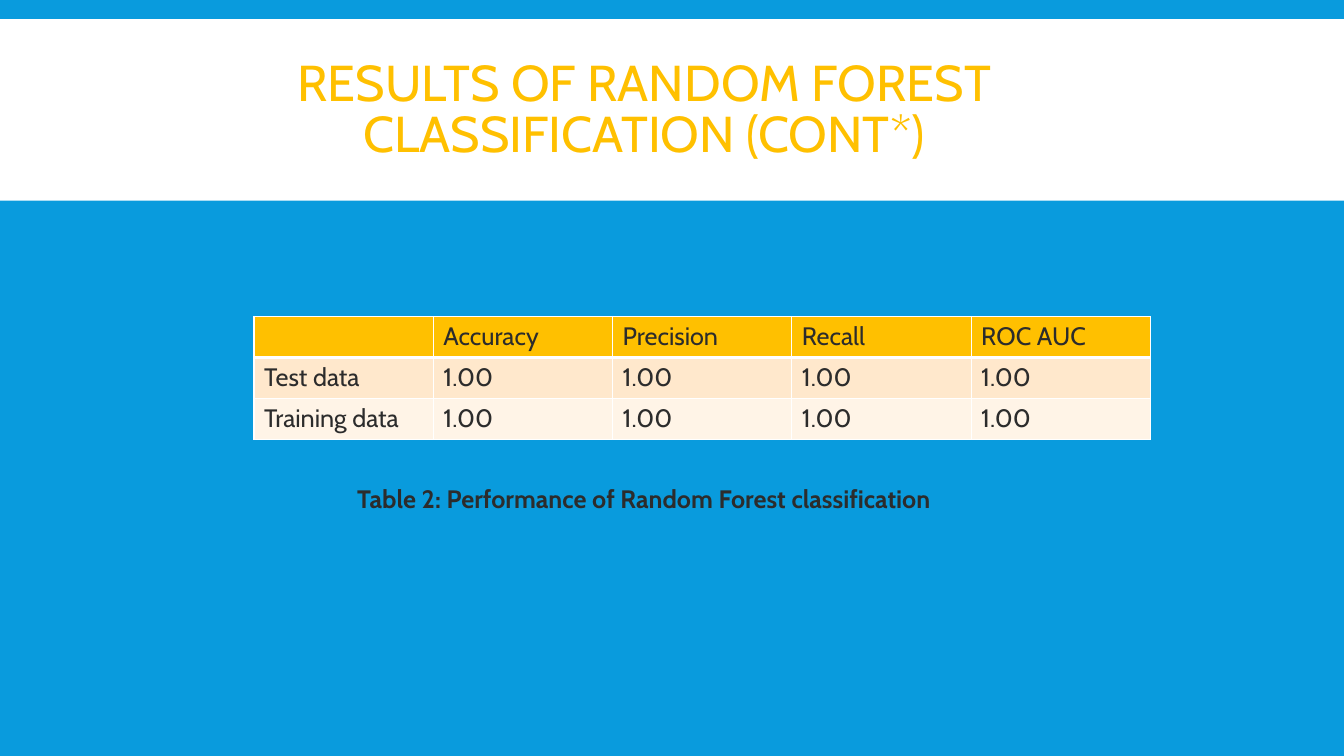
from dataclasses import dataclass

from lxml import etree
from pptx import Presentation
from pptx.dml.color import RGBColor
from pptx.enum.shapes import MSO_SHAPE
from pptx.enum.text import MSO_ANCHOR, MSO_AUTO_SIZE, PP_ALIGN
from pptx.oxml.ns import qn
from pptx.util import Inches, Pt

RECTANGLE = MSO_SHAPE.RECTANGLE
TOP = MSO_ANCHOR.TOP
GROW = MSO_AUTO_SIZE.SHAPE_TO_FIT_TEXT
NO_FIT = MSO_AUTO_SIZE.NONE
LEFT, CENTER = PP_ALIGN.LEFT, PP_ALIGN.CENTER
TITLE_ONLY = 5


@dataclass(frozen=True)
class Theme:
    font: str = "Cabin"
    background: str = "099BDD"
    white: str = "FFFFFF"
    accent: str = "FFC000"
    text: str = "2C2C2C"
    bands: tuple = ("FFE8CC", "FFF4E7")
    title_size: int = 36
    body_size: int = 18
    thin_border: int = 1
    header_border: int = 3


THEME = Theme()

TITLE = "RESULTS OF RANDOM FOREST CLASSIFICATION (CONT*)"
CAPTION = "Table 2: Performance of Random Forest classification"
METRICS = ["Accuracy", "Precision", "Recall", "ROC AUC"]
SCORES = {"Test data": ["1.00"] * 4, "Training data": ["1.00"] * 4}


def set_attributes(target, values):
    for name, value in values.items():
        setattr(target, name, value)


def paint(fill, color):
    fill.solid()
    fill.fore_color.rgb = RGBColor.from_string(color)


def place(shape, left, top, width, height):
    set_attributes(shape, {
        "left": Inches(left), "top": Inches(top),
        "width": Inches(width), "height": Inches(height),
    })


def write(text_frame, text, size, color, alignment=LEFT, bold=False, line_spacing=None):
    paragraph = text_frame.paragraphs[0]
    set_attributes(paragraph, {"alignment": alignment, "line_spacing": line_spacing})
    run = paragraph.add_run()
    run.text = text
    set_attributes(run.font, {"name": THEME.font, "size": Pt(size), "bold": bold})
    run.font.color.rgb = RGBColor.from_string(color)


def add_band(slide):
    band = slide.shapes.add_shape(
        RECTANGLE, Inches(0), Inches(0.19), Inches(13.33), Inches(1.8))
    band.shadow.inherit = False
    paint(band.fill, THEME.white)
    band.line.fill.background()
    # Send the band behind the title
    slide.shapes._spTree.insert(2, band._element)


def fill_title(slide):
    title = slide.shapes.title
    place(title, 1.26, 0.5, 10.26, 1.84)
    margins = {f"margin_{side}": Inches(0.1) for side in ("left", "top", "right", "bottom")}
    set_attributes(title.text_frame, {
        "word_wrap": True, "auto_size": NO_FIT, "vertical_anchor": TOP, **margins})
    write(title.text_frame, TITLE, THEME.title_size, THEME.accent, CENTER, line_spacing=0.85)


def set_borders(cell, widths):
    properties = cell._tc.get_or_add_tcPr()
    for index, (side, width) in enumerate(widths.items()):
        line = etree.Element(qn(f"a:ln{side}"), w=str(Pt(width)))
        solid = etree.SubElement(line, qn("a:solidFill"))
        etree.SubElement(solid, qn("a:srgbClr"), val=THEME.white)
        properties.insert(index, line)


def add_results_table(slide):
    rows = [["", *METRICS]] + [[name, *scores] for name, scores in SCORES.items()]
    fills = [THEME.accent, *THEME.bands]
    frame = slide.shapes.add_table(
        len(rows), len(rows[0]), Inches(2.52), Inches(3.14), Inches(8.89), Inches(1.21))
    table = frame.table
    for row_index, (values, color) in enumerate(zip(rows, fills)):
        borders = dict.fromkeys("LRTB", THEME.thin_border)
        if row_index < 2:
            borders["B" if row_index == 0 else "T"] = THEME.header_border
        for column_index, value in enumerate(values):
            cell = table.cell(row_index, column_index)
            paint(cell.fill, color)
            set_borders(cell, borders)
            write(cell.text_frame, value, THEME.body_size, THEME.text)


def add_caption(slide):
    caption = slide.shapes.add_textbox(Inches(2.38), Inches(4.75), Inches(8.01), Inches(0.4))
    set_attributes(caption.text_frame, {"word_wrap": True, "auto_size": GROW})
    write(caption.text_frame, CAPTION, THEME.body_size, THEME.text, CENTER, bold=True)


def main():
    presentation = Presentation()
    set_attributes(presentation, {"slide_width": Inches(13.33), "slide_height": Inches(7.5)})
    slide = presentation.slides.add_slide(presentation.slide_layouts[TITLE_ONLY])
    paint(slide.background.fill, THEME.background)

    # Heading
    add_band(slide)
    fill_title(slide)

    # Results
    add_results_table(slide)
    add_caption(slide)

    presentation.save("out.pptx")


if __name__ == "__main__":
    main()
